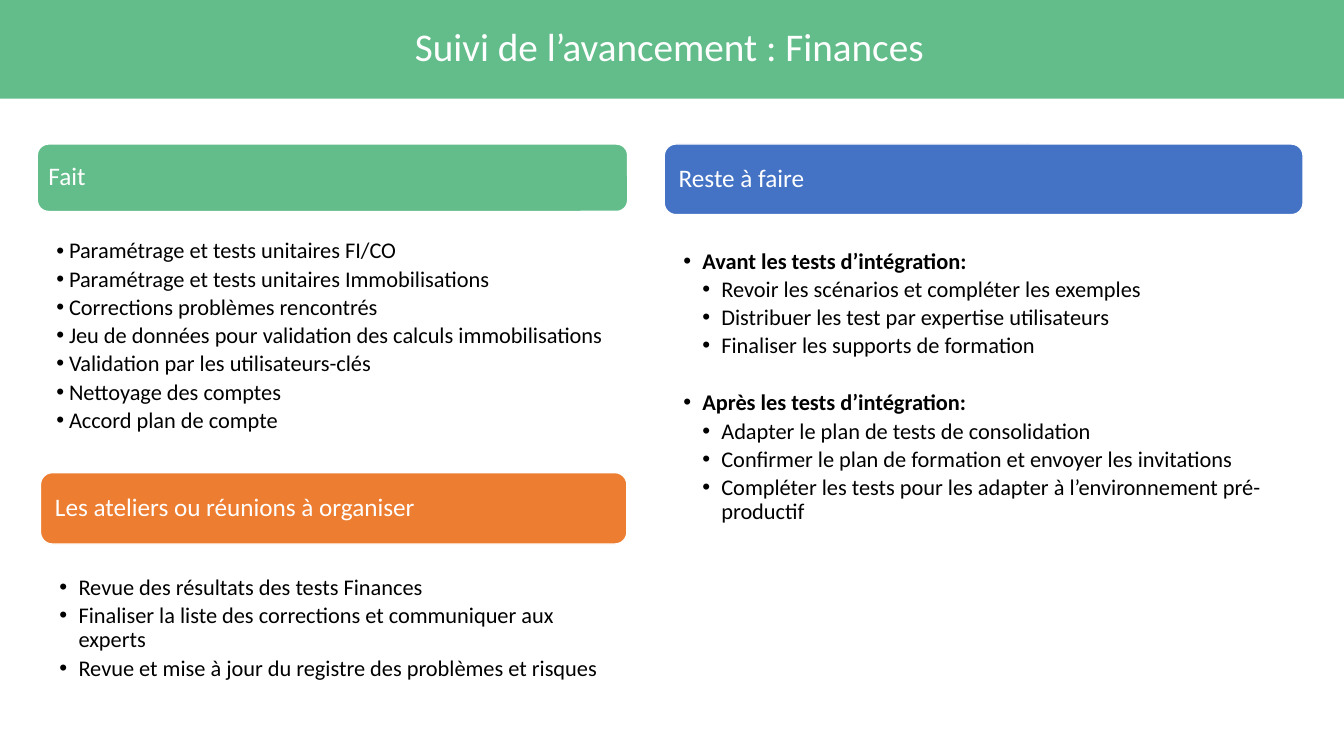
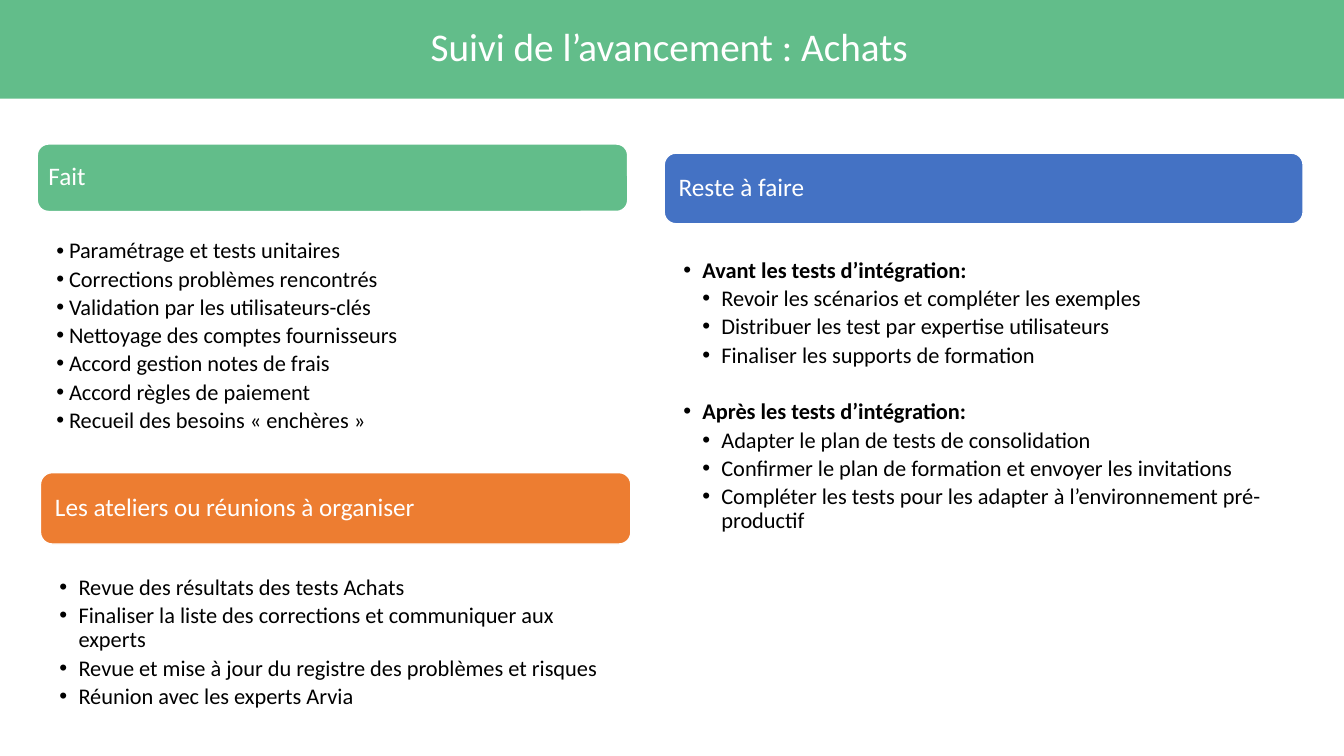
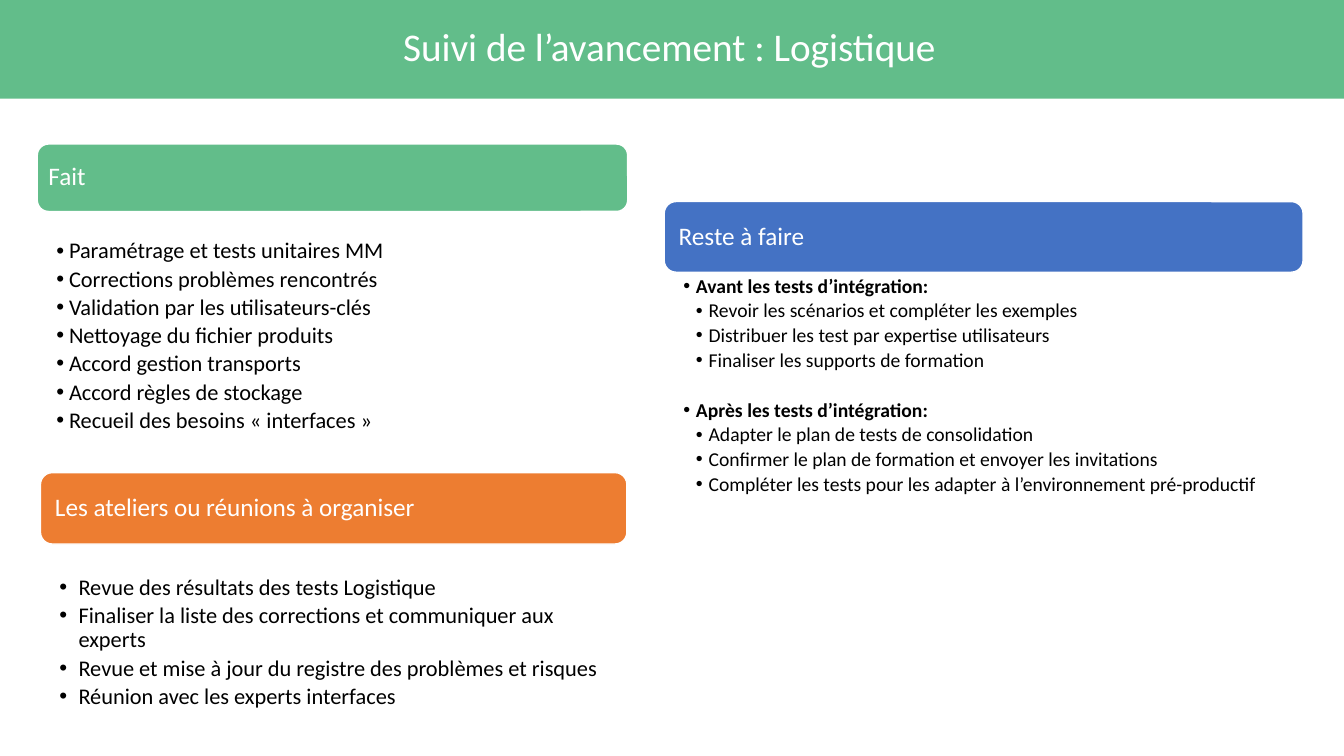
from dataclasses import dataclass

from lxml.etree import SubElement
from pptx import Presentation
from pptx.dml.color import RGBColor
from pptx.enum.shapes import MSO_SHAPE as Preset
from pptx.enum.text import MSO_ANCHOR as Anchor, PP_ALIGN as Align
from pptx.oxml.ns import qn
from pptx.util import Cm, Pt

FONT = "Calibri"
GREEN, ORANGE, BLUE = "62BD8A", "ED7D31", "4472C4"
WHITE, BLACK = "FFFFFF", "000000"
SLIDE_WIDTH, SLIDE_HEIGHT = 33.87, 19.05
LINE_SPACING = 0.9
AFTER_RATIO = 0.18   # space after an item, as a share of its text size
GROUP_RATIO = 1.28   # space before a new group of items
WIDE_INDENT, NARROW_INDENT = 0.48, 0.32

INTEGRATION_TASKS = [
    ("Avant les tests d’intégration:", [
        "Revoir les scénarios et compléter les exemples",
        "Distribuer les test par expertise utilisateurs",
        "Finaliser les supports de formation",
    ]),
    ("Après les tests d’intégration:", [
        "Adapter le plan de tests de consolidation",
        "Confirmer le plan de formation et envoyer les invitations",
        "Compléter les tests pour les adapter à l’environnement pré-productif",
    ]),
]
COMMON_MEETINGS = [
    "Finaliser la liste des corrections et communiquer aux experts",
    "Revue et mise à jour du registre des problèmes et risques",
]


@dataclass
class Progress:
    """What one slide reports, and where its right-hand column starts."""
    domain: str
    done: list
    extra_meetings: list
    todo_top: float
    todo_gap: float = 0.84
    todo_size: int = 16
    todo_indent: float = WIDE_INDENT
    meetings_width: float = 14.78


REPORTS = [
    Progress("Finances", [
        "Paramétrage et tests unitaires FI/CO",
        "Paramétrage et tests unitaires Immobilisations",
        "Corrections problèmes rencontrés",
        "Jeu de données pour validation des calculs immobilisations",
        "Validation par les utilisateurs-clés",
        "Nettoyage des comptes",
        "Accord plan de compte",
    ], [], todo_top=3.63),
    Progress("Achats", [
        "Paramétrage et tests unitaires",
        "Corrections problèmes rencontrés",
        "Validation par les utilisateurs-clés",
        "Nettoyage des comptes fournisseurs",
        "Accord gestion notes de frais",
        "Accord règles de paiement",
        "Recueil des besoins « enchères »",
    ], ["Réunion avec les experts Arvia"], todo_top=3.86, meetings_width=14.88),
    Progress("Logistique", [
        "Paramétrage et tests unitaires MM",
        "Corrections problèmes rencontrés",
        "Validation par les utilisateurs-clés",
        "Nettoyage du fichier produits",
        "Accord gestion transports",
        "Accord règles de stockage",
        "Recueil des besoins « interfaces »",
    ], ["Réunion avec les experts interfaces"], todo_top=5.08, todo_gap=0.05,
        todo_size=14, todo_indent=NARROW_INDENT),
]


def color(hex_code):
    return RGBColor.from_string(hex_code)


def set_margins(frame, left, top, right, bottom):
    frame.margin_left, frame.margin_top = Cm(left), Cm(top)
    frame.margin_right, frame.margin_bottom = Cm(right), Cm(bottom)


def write(frame, text, *, size, ink=BLACK, bold=False, align=Align.LEFT,
          level=0, indent=0, before=0, after=0):
    """Add a paragraph to the frame; a non-zero indent gives it a bullet."""
    first = frame.paragraphs[0]
    para = frame.add_paragraph() if first.runs else first
    para.alignment, para.level, para.line_spacing = align, level, LINE_SPACING
    para.space_before, para.space_after = Pt(before), Pt(after)
    span = para.add_run()
    span.text = text
    span.font.name, span.font.size, span.font.bold = FONT, Pt(size), bold
    span.font.color.rgb = color(ink)
    if indent:
        props = para._p.get_or_add_pPr()
        props.set("marL", str(Cm(indent * (level + 1))))
        props.set("indent", str(-Cm(indent)))
        SubElement(props, qn("a:buFont")).set("typeface", "Arial")
        SubElement(props, qn("a:buChar")).set("char", "•")


def add_block(page, preset, left, top, width, height, fill):
    block = page.shapes.add_shape(preset, Cm(left), Cm(top), Cm(width), Cm(height))
    block.shadow.inherit = False
    block.fill.solid()
    block.fill.fore_color.rgb = color(fill)
    block.line.fill.background()
    return block


def add_title_band(page, text):
    band = add_block(page, Preset.RECTANGLE, 0, 0, SLIDE_WIDTH, 2.49, GREEN)
    title = page.shapes.title
    title._element.addprevious(band._element)
    title.left, title.top, title.width, title.height = Cm(1.22), Cm(0.56), Cm(31.29), Cm(1.35)
    title.text_frame.vertical_anchor = Anchor.MIDDLE
    write(title.text_frame, text, size=28, ink=WHITE, align=Align.CENTER)


def add_header(page, text, left, top, width, height, fill, inset=0.28):
    header = add_block(page, Preset.ROUNDED_RECTANGLE, left, top, width, height, fill)
    header.line.color.rgb = color(WHITE)
    header.line.width = Pt(1)
    frame = header.text_frame
    frame.word_wrap = True
    frame.vertical_anchor = Anchor.MIDDLE
    set_margins(frame, inset, 0.18, 0.18, 0.18)
    write(frame, text, size=18, ink=WHITE)


def add_list(page, groups, left, top, width, height, size=16, indent=WIDE_INDENT):
    """Bulleted groups; each is a bold heading (or None) and its items."""
    box = page.shapes.add_textbox(Cm(left), Cm(top), Cm(width), Cm(height))
    frame = box.text_frame
    frame.word_wrap = True
    set_margins(frame, 0.48, 0.05, 0.3, 0.05)
    style = dict(size=size, indent=indent, after=size * AFTER_RATIO)
    for number, (heading, items) in enumerate(groups):
        if heading:
            write(frame, heading, bold=True,
                  before=size * GROUP_RATIO if number else 0, **style)
        for item in items:
            write(frame, item, level=1 if heading else 0, **style)


def add_section(page, heading, groups, left, top, width, header_height, list_height,
                fill, gap, inset=0.28, **list_format):
    """A coloured header with its list below, separated by the gap."""
    add_header(page, heading, left, top, width, header_height, fill, inset)
    add_list(page, groups, left, top + header_height + gap, width, list_height, **list_format)


def add_progress_slide(deck, report):
    page = deck.slides.add_slide(deck.slide_layouts[5])
    add_title_band(page, f"Suivi de l’avancement : {report.domain}")
    meetings = [f"Revue des résultats des tests {report.domain}",
                *COMMON_MEETINGS, *report.extra_meetings]
    add_section(page, "Les ateliers ou réunions à organiser", [(None, meetings)],
                1.02, 11.91, report.meetings_width, 1.8, 3.6, ORANGE, gap=0.76)
    add_section(page, "Reste à faire", INTEGRATION_TASKS,
                16.74, report.todo_top, 16.1, 1.78, 7.5, BLUE, gap=report.todo_gap,
                size=report.todo_size, indent=report.todo_indent)
    add_section(page, "Fait", [(None, report.done)],
                0.94, 3.63, 14.88, 1.7, 5.3, GREEN, gap=0.66, inset=0.2,
                indent=NARROW_INDENT)


def main():
    deck = Presentation()
    deck.slide_width, deck.slide_height = Cm(SLIDE_WIDTH), Cm(SLIDE_HEIGHT)
    for report in REPORTS:
        add_progress_slide(deck, report)
    deck.save("out.pptx")


if __name__ == "__main__":
    main()
